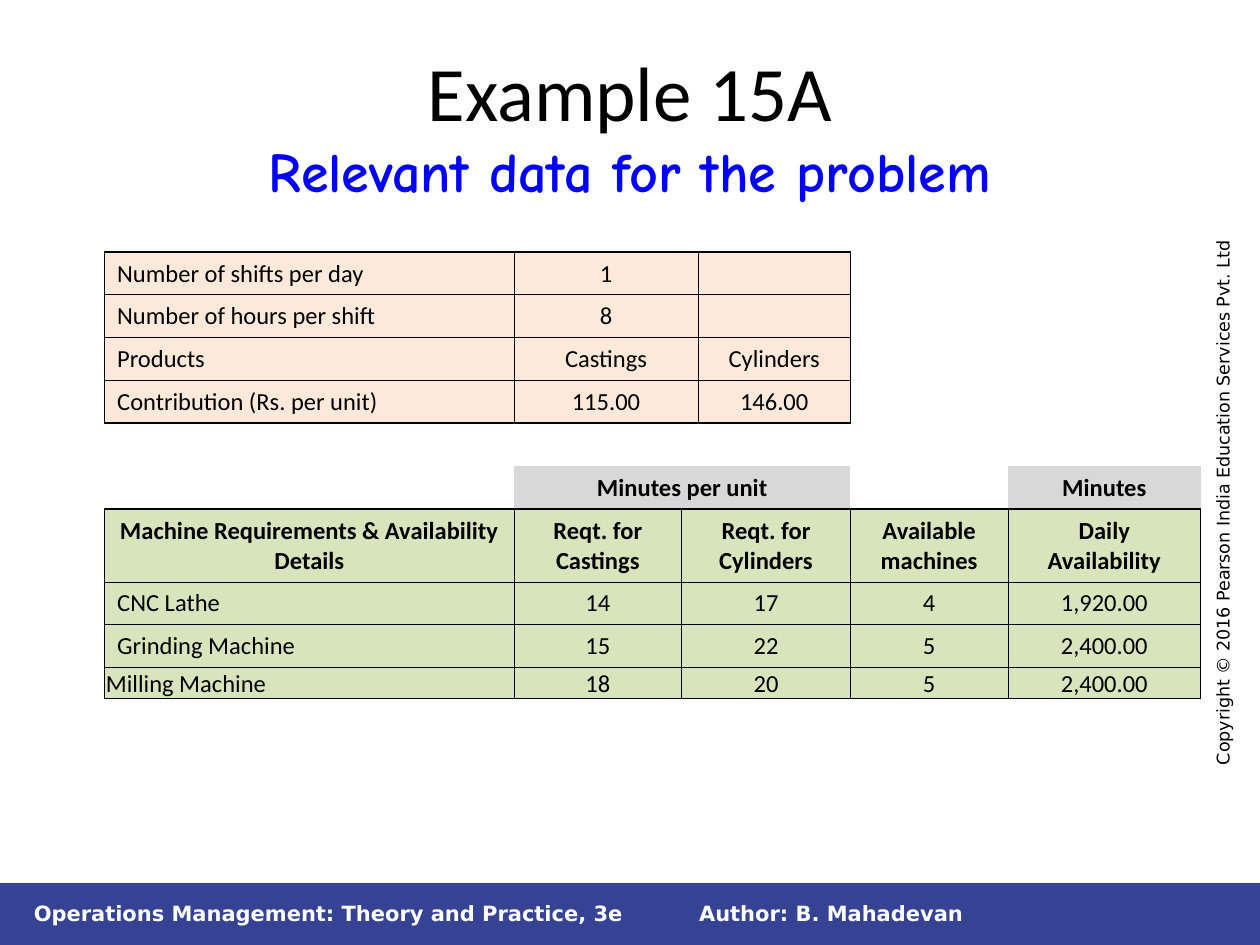
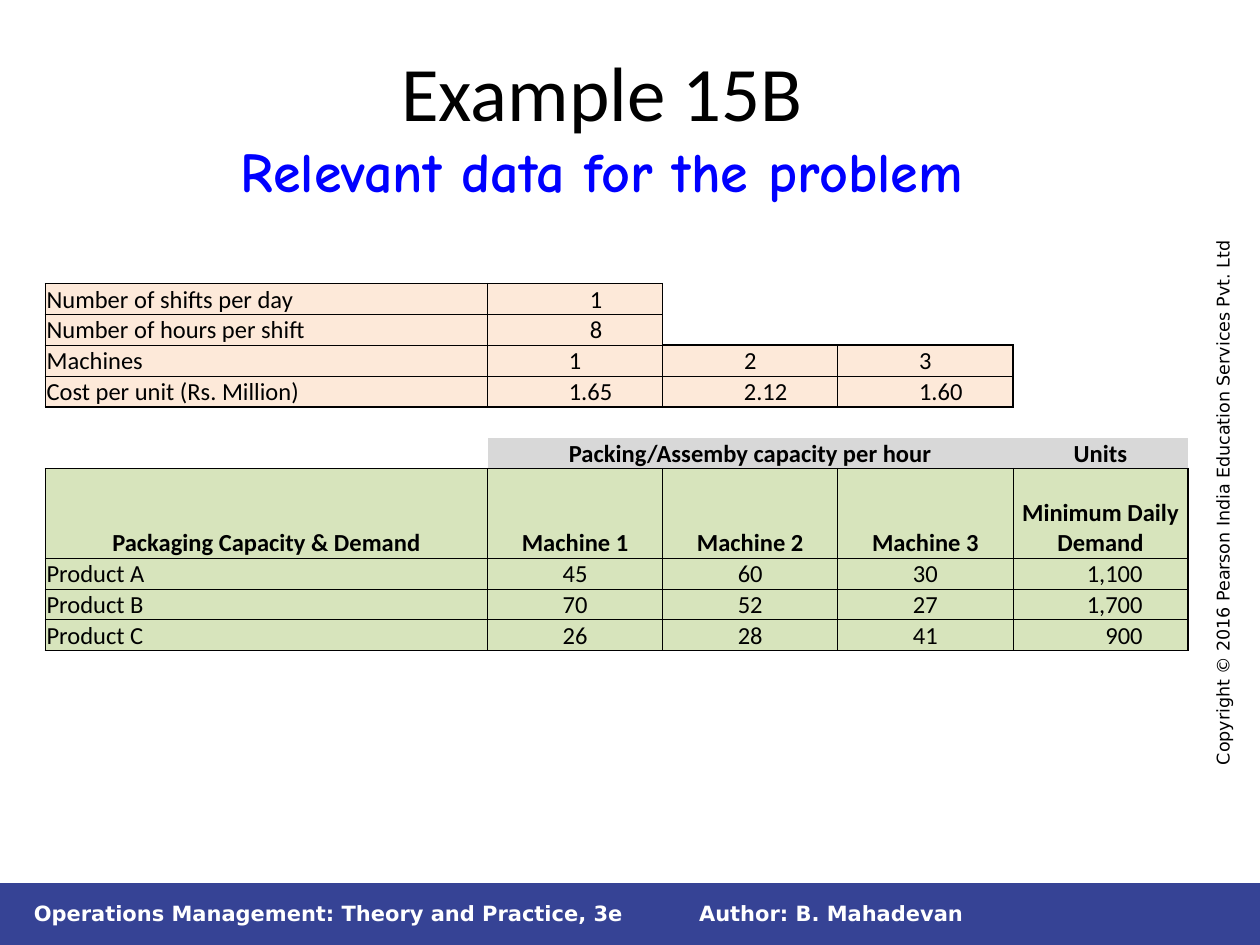
from lxml.etree import SubElement
from pptx import Presentation
from pptx.dml.color import RGBColor
from pptx.enum.shapes import MSO_SHAPE
from pptx.enum.text import MSO_ANCHOR as Anchor, MSO_AUTO_SIZE as AutoSize, PP_ALIGN as Align
from pptx.oxml.ns import qn
from pptx.util import Inches, Pt

BLACK, WHITE, BLUE, NAVY = "000000", "FFFFFF", "0000FF", "364395"
PEACH, GREY, GREEN = "FDE9D9", "D8D8D8", "D7E4BC"
BODY_FONT, SUBTITLE_FONT, FOOTER_FONT = "Calibri", "Comic Neue", "DejaVu Sans"
NO_STYLE = "{2D5ABB26-0587-4C30-8999-92F81FD0307C}"

SUBTITLE = "Relevant data for the problem"
BOOK = "Operations Management: Theory and Practice, 3e"
AUTHOR = "Author: B. Mahadevan"
COPYRIGHT = "Copyright © 2016 Pearson India Education Services Pvt. Ltd"

ROW_FILLS = [PEACH] * 4 + [None, GREY] + [GREEN] * 4
HEADER_ROWS = (5, 6)
ROOMY, TIGHT = (0.1, 0.05, 0.1, 0.05), (0.01, 0.01, 0.01, 0)
JOIN = ">"

EXAMPLES = [
    {
        "title": "Example 15A",
        "title_left": 0.5,
        "table_at": (0.83, 2),
        "widths": [3.25, 1.33, 0.13, 1.21, 1.25, 1.53],
        "heights": [0.34] * 6 + [0.58, 0.34, 0.34, 0.24],
        "tight_rows": (9,),
        "right_gaps": {},
        "rows": [
            ["Number of shifts per day", "1", JOIN, "", None, None],
            ["Number of hours per shift", "8", JOIN, "", None, None],
            ["Products", "Castings", JOIN, "Cylinders", None, None],
            ["Contribution (Rs. per unit)", "115.00", JOIN, "146.00", None, None],
            [None] * 6,
            [None, "Minutes per unit", JOIN, JOIN, None, "Minutes"],
            ["Machine Requirements & Availability Details", "Reqt. for Castings",
             "Reqt. for Cylinders", JOIN, "Available machines", "Daily Availability"],
            ["CNC Lathe", "14", "17", JOIN, "4", "1,920.00"],
            ["Grinding Machine", "15", "22", JOIN, "5", "2,400.00"],
            ["Milling Machine", "18", "20", JOIN, "5", "2,400.00"],
        ],
    },
    {
        "title": "Example 15B",
        "title_left": 0.28,
        "table_at": (0.36, 2.25),
        "widths": [3.51] + [1.39] * 4,
        "heights": [0.245] * 6 + [0.71] + [0.245] * 3,
        "tight_rows": range(10),
        "right_gaps": {
            (0, 1): 0.48, (1, 1): 0.48,
            (3, 1): 0.4, (3, 2): 0.4, (3, 3): 0.4,
            (7, 4): 0.36, (8, 4): 0.36, (9, 4): 0.36,
        },
        "rows": [
            ["Number of shifts per day", "1", None, None, None],
            ["Number of hours per shift", "8", None, None, None],
            ["Machines", "1", "2", "3", None],
            ["Cost per unit (Rs. Million)", "1.65", "2.12", "1.60", None],
            [None] * 5,
            [None, "Packing/Assemby capacity per hour", JOIN, JOIN, "Units"],
            ["Packaging Capacity & Demand", "Machine 1", "Machine 2", "Machine 3",
             "Minimum Daily Demand"],
            ["Product A", "45", "60", "30", "1,100"],
            ["Product B", "70", "52", "27", "1,700"],
            ["Product C", "26", "28", "41", "900"],
        ],
    },
]


def rgb(color):
    """Turn a hex string into a colour."""
    return RGBColor.from_string(color)


def style(font, name, size, color, bold=False):
    """Set the look of a run or paragraph font."""
    font.name, font.size, font.bold = name, Pt(size), bold
    font.color.rgb = rgb(color)


def add_label(slide, text, box, size, color, bold=False, anchor=Anchor.MIDDLE, rotation=0):
    """Add one line of footer-style text."""
    label = slide.shapes.add_textbox(*map(Inches, box))
    label.rotation = rotation
    frame = label.text_frame
    frame.word_wrap = True
    frame.vertical_anchor = anchor
    frame.auto_size = AutoSize.SHAPE_TO_FIT_TEXT
    frame.text = text
    style(frame.paragraphs[0].font, FOOTER_FONT, size, color, bold)


def add_frame(slide):
    """Add the footer band, its labels and the upright copyright line."""
    band = slide.shapes.add_shape(
        MSO_SHAPE.RECTANGLE, 0, Inches(7.01), Inches(10), Inches(0.5))
    band.shadow.inherit = False
    band.fill.solid()
    band.fill.fore_color.rgb = rgb(NAVY)
    band.line.fill.background()
    add_label(slide, AUTHOR, (5.45, 7.1, 4.67, 0.3), 12, WHITE, bold=True)
    add_label(slide, BOOK, (0.17, 7.1, 5, 0.3), 12, WHITE, bold=True)
    add_label(slide, COPYRIGHT, (7.45, 3.78, 4.51, 0.27), 10, BLACK,
              anchor=Anchor.TOP, rotation=270)


def set_title(slide, text, left):
    """Write the title with the shared subtitle below it."""
    title = slide.shapes.title
    title.left, title.top, title.width, title.height = map(Inches, (left, 0.3, 9, 1.25))
    frame = title.text_frame
    frame.auto_size = AutoSize.NONE
    frame.vertical_anchor = Anchor.TOP
    lines = frame.paragraphs[0]
    lines.alignment = Align.CENTER
    heading = lines.add_run()
    heading.text = text
    style(heading.font, BODY_FONT, 44, BLACK)
    lines.add_line_break()
    subtitle = lines.add_run()
    subtitle.text = SUBTITLE
    style(subtitle.font, SUBTITLE_FONT, 32, BLUE, bold=True)


def fill_at(rows, row, col):
    """Give the fill of a grid position, or None where it is blank or outside."""
    inside = 0 <= row < len(rows) and 0 <= col < len(rows[row])
    return ROW_FILLS[row] if inside and rows[row][col] is not None else None


def add_borders(cell, rows, row, col):
    """Draw thin lines inside a coloured block and heavier ones round it."""
    properties = cell._tc.get_or_add_tcPr()
    sides = (("a:lnL", 0, -1), ("a:lnR", 0, 1), ("a:lnT", -1, 0), ("a:lnB", 1, 0))
    for position, (tag, down, right) in enumerate(sides):
        same_block = fill_at(rows, row + down, col + right) == ROW_FILLS[row]
        edge = SubElement(properties, qn(tag), w=str(Pt(0.5 if same_block else 1)))
        solid = SubElement(edge, qn("a:solidFill"))
        SubElement(solid, qn("a:srgbClr"), val=BLACK)
        properties.insert(position, edge)


def fill_cell(cell, example, row, col):
    """Write and format one table cell."""
    rows = example["rows"]
    text, fill = rows[row][col], fill_at(rows, row, col)
    header = row in HEADER_ROWS
    gap = example["right_gaps"].get((row, col))
    insets = TIGHT if text is None or row in example["tight_rows"] else ROOMY
    cell.margin_left, cell.margin_top, cell.margin_right, cell.margin_bottom = map(Inches, insets)
    cell.vertical_anchor = Anchor.BOTTOM
    line = cell.text_frame.paragraphs[0]
    if text and text != JOIN:
        line.text = text
    if gap:
        cell.margin_right = Inches(gap)
        line.alignment = Align.RIGHT
    else:
        line.alignment = Align.CENTER if col or header else Align.LEFT
    style(line.font, BODY_FONT, 14, BLACK, header)
    if fill is None:
        cell.fill.background()
        return
    cell.fill.solid()
    cell.fill.fore_color.rgb = rgb(fill)
    if fill != GREY:
        add_borders(cell, rows, row, col)


def add_data_table(slide, example):
    """Build the table of an example."""
    rows, widths, heights = example["rows"], example["widths"], example["heights"]
    left, top = example["table_at"]
    frame = slide.shapes.add_table(
        len(rows), len(widths),
        *map(Inches, (left, top, sum(widths), sum(heights))))
    frame._element.find(".//" + qn("a:tableStyleId")).text = NO_STYLE
    table = frame.table
    table.first_row = table.horz_banding = False
    for column, width in zip(table.columns, widths):
        column.width = Inches(width)
    for row, texts in enumerate(rows):
        table.rows[row].height = Inches(heights[row])
        for col in range(len(texts)):
            fill_cell(table.cell(row, col), example, row, col)
        for col, text in enumerate(texts):
            last = col
            while last + 1 < len(texts) and texts[last + 1] == JOIN:
                last += 1
            if text != JOIN and last > col:
                table.cell(row, col).merge(table.cell(row, last))


def main():
    """Build both example slides and save them."""
    deck = Presentation()
    deck.slide_width, deck.slide_height = Inches(10), Inches(7.5)
    for example in EXAMPLES:
        slide = deck.slides.add_slide(deck.slide_layouts[5])
        add_frame(slide)
        set_title(slide, example["title"], example["title_left"])
        add_data_table(slide, example)
    deck.save("out.pptx")


if __name__ == "__main__":
    main()
